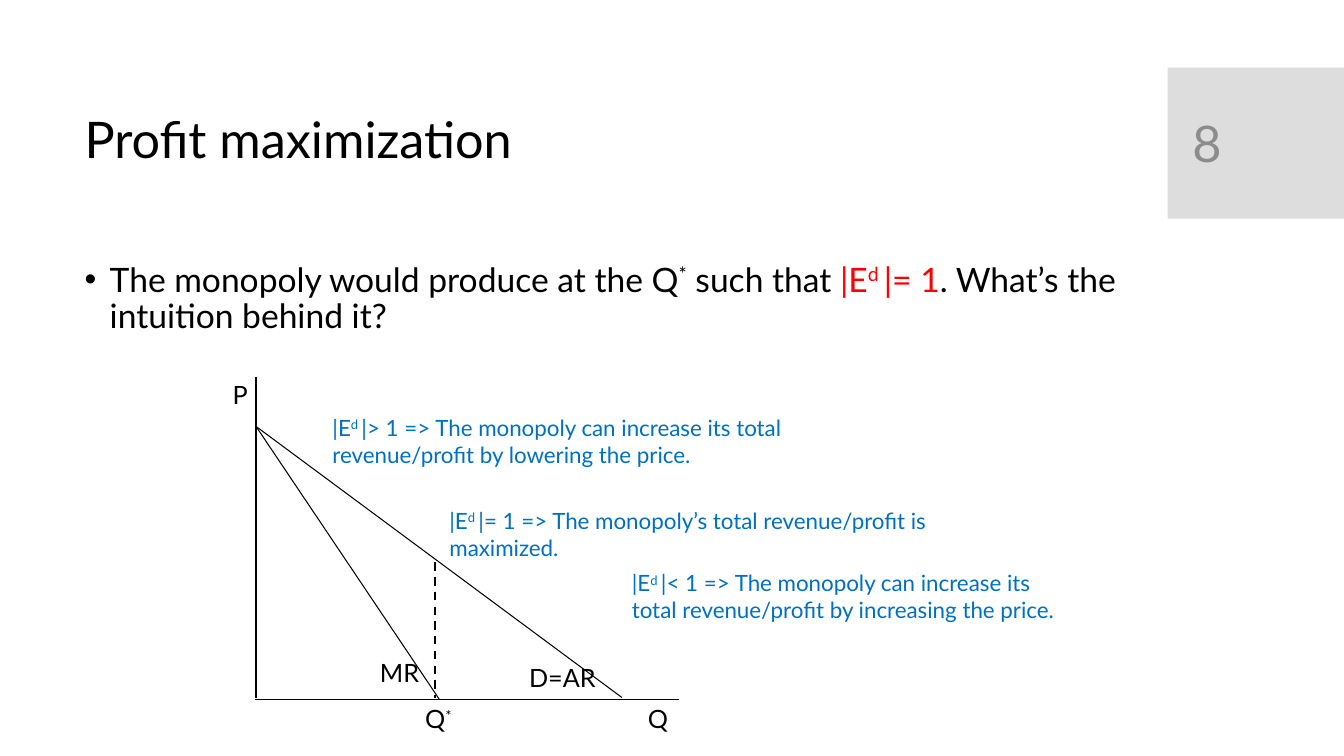
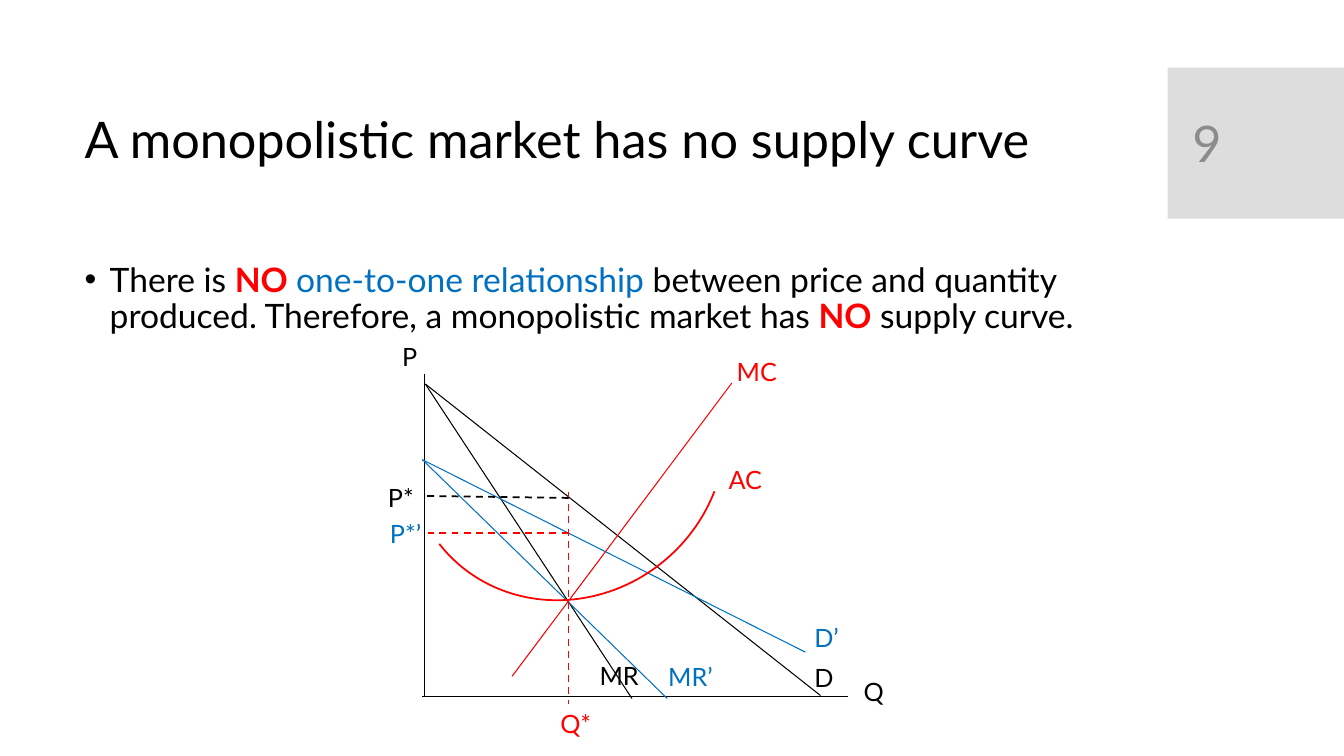
"""Build two lecture slides on monopoly pricing with their diagrams."""
from lxml.etree import SubElement
from pptx import Presentation
from pptx.dml.color import RGBColor
from pptx.enum.dml import MSO_LINE_DASH_STYLE as Dash
from pptx.enum.shapes import MSO_CONNECTOR as Connector, MSO_SHAPE as Shape
from pptx.enum.text import MSO_ANCHOR as Anchor
from pptx.oxml.ns import qn
from pptx.util import Inches, Pt

COLORS = {"black": "000000", "red": "FF0000", "blue": "0070C0",
          "band": "DDDDDD", "number": "8C8C8C"}
FONT = "Lato"
CELL = Inches(0.1)
COLUMNS, ROWS = 133.33, 75
LABEL_HEIGHT = 4
MARGIN, CONTENT_WIDTH = 7.4, 105.1


def write(page, spans, left, top, width, height=LABEL_HEIGHT, size=18, color="black",
          anchor=Anchor.TOP, spacing=None, bullet=False):
    """Add a text box; a span is a string or a (string, format) pair."""
    box = page.shapes.add_textbox(*(int(n * CELL) for n in (left, top, width, height)))
    frame = box.text_frame
    frame.word_wrap = True
    frame.vertical_anchor = anchor
    para = frame.paragraphs[0]
    if spacing:
        para.line_spacing = spacing
    if bullet:
        properties = para._p.get_or_add_pPr()
        properties.set("marL", str(Inches(0.25)))
        properties.set("indent", str(-Inches(0.25)))
        SubElement(properties, qn("a:buFont")).set("typeface", "Arial")
        SubElement(properties, qn("a:buChar")).set("char", "•")
    for item in [spans] if isinstance(spans, str) else spans:
        text, style = (item, {}) if isinstance(item, str) else item
        span = para.add_run()
        span.text = text
        span.font.name = FONT
        span.font.size = Pt(size)
        span.font.bold = style.get("bold", False)
        span.font.color.rgb = RGBColor.from_string(COLORS[style.get("color", color)])
        if style.get("raised"):
            span._r.get_or_add_rPr().set("baseline", "30000")


def draw_line(page, start, end, color="black", weight=0.75, dashed=False):
    """Draw a straight line between two grid points."""
    line = page.shapes.add_connector(
        Connector.STRAIGHT, *(int(n * CELL) for n in (*start, *end)))
    line.line.color.rgb = RGBColor.from_string(COLORS[color])
    line.line.width = Pt(weight)
    if dashed:
        line.line.dash_style = Dash.DASH
    SubElement(line._element.spPr, qn("a:effectLst"))


RAISED = {"raised": True}
RED = {"color": "red"}
BOLD_RED = {"color": "red", "bold": True}

LECTURE = [
    (8, "Profit maximization", [
        "The monopoly would produce at the Q", ("*", RAISED), " such that ",
        ("|E", RED), ("d ", {**RED, **RAISED}), ("|= 1", RED),
        ". What’s the intuition behind it?"]),
    (9, "A monopolistic market has no supply curve", [
        "There is ", ("NO ", BOLD_RED), ("one-to-one relationship ", {"color": "blue"}),
        "between price and quantity produced. Therefore, a monopolistic market has ",
        ("NO", BOLD_RED), " supply curve."]),
]

deck = Presentation()
deck.slide_width, deck.slide_height = int(COLUMNS * CELL), ROWS * CELL
pages = []
for number, title, statement in LECTURE:
    page = deck.slides.add_slide(deck.slide_layouts[6])
    band = page.shapes.add_shape(
        Shape.RECTANGLE, *(int(n * CELL) for n in (COLUMNS - 17.5, 6.7, 17.5, 15)))
    band.shadow.inherit = False
    band.fill.solid()
    band.fill.fore_color.rgb = RGBColor.from_string(COLORS["band"])
    band.line.fill.background()
    write(page, title, MARGIN, 8.2, CONTENT_WIDTH, 11.8, size=36,
          anchor=Anchor.MIDDLE, spacing=0.9)
    write(page, str(number), 117.3, 8.2, 12.6, 11.9, size=36, color="number",
          anchor=Anchor.MIDDLE)
    write(page, statement, MARGIN, 25.6, CONTENT_WIDTH, 43.8, size=24,
          spacing=0.9, bullet=True)
    pages.append(page)
profit, supply = pages

choke_price = (25.4, 42.3)
for start, end in [
    ((25.4, 37.4), (25.4, 69.2)),
    ((25.3, 69.4), (67.4, 69.4)),
    (choke_price, (61.7, 69.2)),
    (choke_price, (43.6, 69.4)),
]:
    draw_line(profit, start, end)
draw_line(profit, (43.2, 55.8), (43.2, 69.2), weight=1.5, dashed=True)

for sign, effect, left, top, width in [
    (">", "The monopoly can increase its total revenue/profit by lowering the price.",
     32, 40.6, 56),
    ("=", "The monopoly’s total revenue/profit is maximized.", 43.6, 49.8, 54.9),
    ("<", "The monopoly can increase its total revenue/profit by increasing the price.",
     61.7, 56, 44.8),
]:
    write(profit, ["|E", ("d ", RAISED), f"|{sign} 1 => {effect}"],
          left, top, width, 6.4, size=16, color="blue")

for label, left, top in [
    ("MR", 36.7, 64.7),
    ("D=AR", 51.5, 65.2),
    ("Q", 63.3, 69.3),
    ("P", 22.1, 37.1),
    (["Q", ("*", RAISED)], 41.2, 69.3),
]:
    write(profit, label, left, top, 10.2)

old_choke, new_choke = (42.2, 38.1), (41.9, 45.6)
for start, end, color in [
    ((42.1, 37.1), (42.1, 69), "black"),
    ((41.9, 69.1), (84.1, 69.1), "black"),
    (old_choke, (81.4, 69), "black"),
    (old_choke, (62.7, 69.3), "black"),
    (new_choke, (79.9, 64.7), "blue"),
    (new_choke, (66.2, 69.3), "blue"),
    ((50.8, 67.1), (72.6, 38), "red"),
]:
    draw_line(supply, start, end, color)

average_cost = supply.shapes.add_shape(
    Shape.ARC, *(int(n * CELL) for n in (40.1, 28.8, 32.3, 30.3)))
average_cost.adjustments[0] = 143.78
average_cost.adjustments[1] = 1.92
average_cost.rotation = 138.5
average_cost.shadow.inherit = False
average_cost.fill.background()
average_cost.line.color.rgb = RGBColor.from_string(COLORS["red"])
average_cost.line.width = Pt(1.25)

quantity = 56.4
for start, end, color in [
    ((quantity, 48.8), (quantity, 69.8), "red"),
    ((quantity, 52.9), (42.5, 52.9), "red"),
    ((quantity, 49.4), (41.9, 49.2), "black"),
]:
    draw_line(supply, start, end, color, weight=1.25, dashed=True)

for label, left, top, color in [
    ("D", 79.8, 65.2, "black"),
    ("MR", 58.5, 65, "black"),
    ("P", 38.9, 33.4, "black"),
    ("Q", 84.7, 66.6, "black"),
    ("MR’", 65.3, 65.1, "blue"),
    ("D’", 79.8, 61.2, "blue"),
    ("AC", 71.3, 45.6, "red"),
    ("Q*", 54.6, 69.8, "red"),
    ("P*’", 37.7, 50.9, "blue"),
    ("P*", 37.5, 47.4, "black"),
    ("MC", 72.1, 34.9, "red"),
]:
    write(supply, label, left, top, 10.2, color=color)

deck.save("out.pptx")
